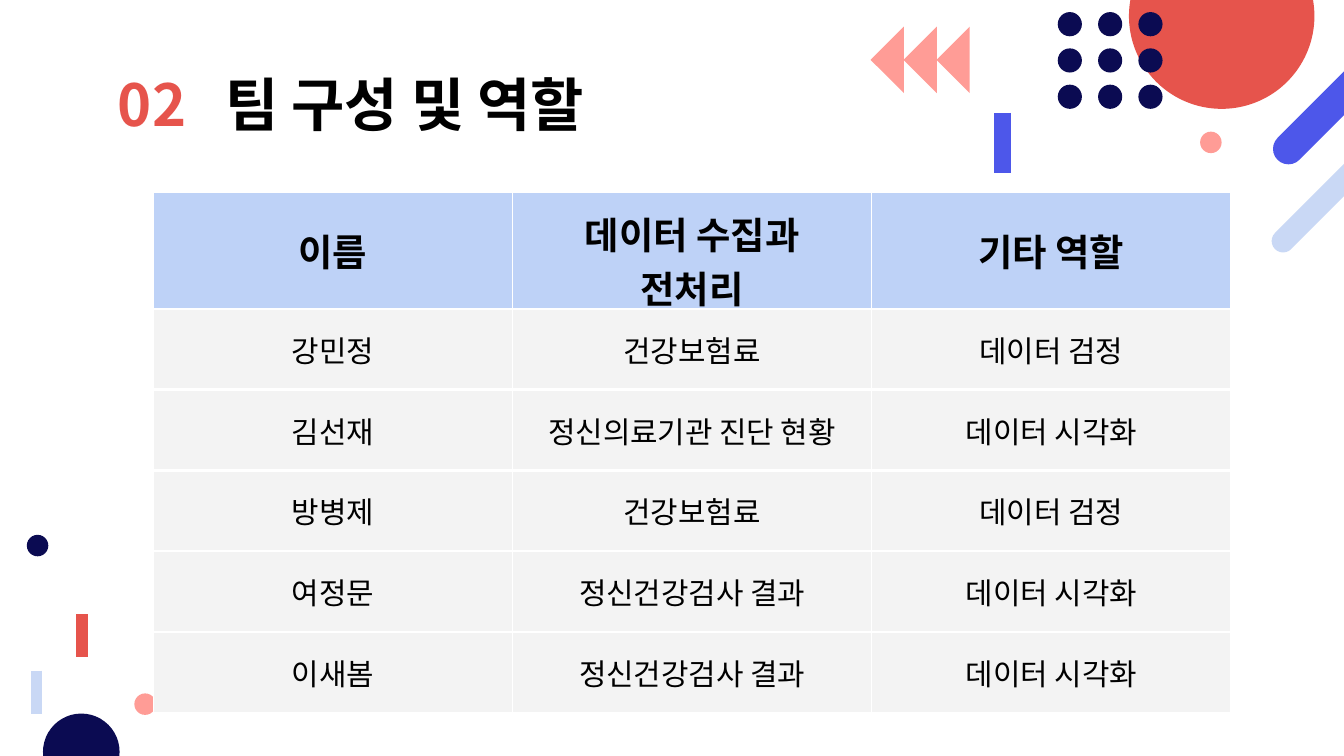
from typing import NamedTuple

from lxml import etree
from pptx import Presentation
from pptx.dml.color import RGBColor
from pptx.enum.shapes import MSO_CONNECTOR, MSO_SHAPE
from pptx.enum.text import MSO_ANCHOR, PP_ALIGN
from pptx.oxml.ns import qn
from pptx.util import Inches, Pt

CIRCLE, PILL, TRIANGLE = MSO_SHAPE.OVAL, MSO_SHAPE.ROUNDED_RECTANGLE, MSO_SHAPE.RIGHT_TRIANGLE
STRAIGHT = MSO_CONNECTOR.STRAIGHT
CENTER, MIDDLE, TOP = PP_ALIGN.CENTER, MSO_ANCHOR.MIDDLE, MSO_ANCHOR.TOP

NAVY = RGBColor(0x0B, 0x0B, 0x52)
RED = RGBColor(0xE6, 0x54, 0x4C)
BLUE = RGBColor(0x4D, 0x57, 0xEA)
PALE_BLUE = RGBColor(0xC9, 0xD8, 0xF5)
PINK = RGBColor(0xFF, 0x9C, 0x96)
HEADER_BLUE = RGBColor(0xBE, 0xD2, 0xF7)
ROW_GRAY = RGBColor(0xF3, 0xF3, 0xF3)
BLACK = RGBColor(0, 0, 0)
WHITE = RGBColor(0xFF, 0xFF, 0xFF)

FONT = "Noto Sans CJK KR"
COLUMNS, ROWS = 100, 56.25
GRID_STEP = Inches(10) / COLUMNS


class Ornament(NamedTuple):
    """A filled shape placed by grid column and row."""
    kind: int
    column: float
    row: float
    width: float
    height: float
    color: RGBColor
    rotation: float = 0


class Bar(NamedTuple):
    """A thick vertical line placed by grid column and row."""
    column: float
    top: float
    bottom: float
    weight: float
    color: RGBColor


ORNAMENTS = [
    Ornament(CIRCLE, 84, -5.7, 13.8, 13.8, RED),
    *(Ornament(CIRCLE, 78.7 + 3 * column, 0.9 + 2.7 * row, 1.8, 1.8, NAVY)
      for row in range(3) for column in range(3)),
    Ornament(PILL, 98.5, 0.8, 2.3, 13, BLUE, 45),
    Ornament(PILL, 97.3, 10.6, 1.7, 9.3, PALE_BLUE, 45),
    Ornament(CIRCLE, 89.3, 9.8, 1.6, 1.6, PINK),
    *(Ornament(TRIANGLE, 70.4 - 2.45 * step, 2.7, 3.5, 3.5, PINK, 45) for step in range(3)),
    Ornament(CIRCLE, 3.2, 53.1, 5.7, 5.7, NAVY),
    Ornament(CIRCLE, 2, 39.8, 1.6, 1.6, NAVY),
    Ornament(CIRCLE, 10, 51.6, 1.6, 1.6, PINK),
]
BARS = [
    Bar(74.6, 8.4, 12.9, 9, BLUE),
    Bar(2.7, 49.9, 53.1, 6, PALE_BLUE),
    Bar(6.1, 45.7, 48.9, 6, RED),
]
TEAM = [
    ("이름", "데이터 수집과 전처리", "기타 역할"),
    ("강민정", "건강보험료", "데이터 검정"),
    ("김선재", "정신의료기관 진단 현황", "데이터 시각화"),
    ("방병제", "건강보험료", "데이터 검정"),
    ("여정문", "정신건강검사 결과", "데이터 시각화"),
    ("이새봄", "정신건강검사 결과", "데이터 시각화"),
]


def grid(steps: float) -> int:
    """Convert grid steps to a slide length."""
    return round(steps * GRID_STEP)


def style_paragraph(paragraph, size: float, bold: bool) -> None:
    """Set the font of a paragraph for Latin and Korean letters."""
    font = paragraph.font
    font.size, font.bold, font.name = Pt(size), bold, FONT
    font.color.rgb = BLACK
    defaults = paragraph._p.pPr.find(qn("a:defRPr"))
    etree.SubElement(defaults, qn("a:ea"), typeface=FONT)


def draw_ornament(slide, ornament: Ornament) -> None:
    """Draw one filled decorative shape."""
    shape = slide.shapes.add_shape(
        ornament.kind, grid(ornament.column), grid(ornament.row),
        grid(ornament.width), grid(ornament.height))
    shape.shadow.inherit = False
    shape.fill.solid()
    shape.fill.fore_color.rgb = ornament.color
    shape.line.fill.background()
    shape.rotation = ornament.rotation
    if ornament.kind == PILL:
        shape.adjustments[0] = 0.5


def draw_bar(slide, bar: Bar) -> None:
    """Draw one thick vertical line."""
    connector = slide.shapes.add_connector(
        STRAIGHT, grid(bar.column), grid(bar.top), grid(bar.column), grid(bar.bottom))
    connector.line.color.rgb = bar.color
    connector.line.width = Pt(bar.weight)
    etree.SubElement(connector._element.spPr, qn("a:effectLst"))


def draw_title(slide) -> None:
    """Draw the section number and title, parted by a tab stop."""
    box = slide.shapes.add_textbox(grid(7.8), grid(4.7), grid(84.4), grid(5.1))
    frame = box.text_frame
    frame.word_wrap = True
    frame.vertical_anchor = TOP
    frame.margin_left = frame.margin_right = frame.margin_top = frame.margin_bottom = grid(1)
    paragraph = frame.paragraphs[0]
    paragraph.line_spacing = 0.9
    tabs = etree.SubElement(paragraph._p.get_or_add_pPr(), qn("a:tabLst"))
    etree.SubElement(tabs, qn("a:tab"), pos=str(grid(8)), algn="l")
    style_paragraph(paragraph, 31, True)
    number = paragraph.add_run()
    number.text = "02"
    number.font.color.rgb = RED
    paragraph.add_run().text = "\t팀 구성 및 역할"


def draw_border(cell, side: str, weight: float) -> None:
    """Add a white border to one side of a cell."""
    border = etree.SubElement(
        cell._tc.get_or_add_tcPr(), qn(f"a:ln{side}"), w=str(Pt(weight)))
    fill = etree.SubElement(border, qn("a:solidFill"))
    etree.SubElement(fill, qn("a:srgbClr"), val=str(WHITE))


def fill_cell(cell, text: str, is_header: bool) -> None:
    """Write and style one table cell."""
    weights = {"L": 0.75, "R": 0.75, "T": 0.75 if is_header else 1.5, "B": 1.5}
    for side, weight in weights.items():
        draw_border(cell, side, weight)
    cell.fill.solid()
    cell.fill.fore_color.rgb = HEADER_BLUE if is_header else ROW_GRAY
    cell.vertical_anchor = MIDDLE
    cell.margin_left = cell.margin_right = grid(2)
    cell.margin_top = cell.margin_bottom = grid(1)
    cell.text = text
    paragraph = cell.text_frame.paragraphs[0]
    paragraph.alignment = CENTER
    style_paragraph(paragraph, 20 if is_header else 16, is_header)


def draw_team_table(slide) -> None:
    """Draw the table of team members and roles."""
    table = slide.shapes.add_table(
        len(TEAM), len(TEAM[0]), grid(11.4), grid(14.3), grid(80.2), grid(36.1)).table
    table.first_row = table.horz_banding = False
    for row_index, texts in enumerate(TEAM):
        for column_index, text in enumerate(texts):
            fill_cell(table.cell(row_index, column_index), text, row_index == 0)


def main() -> None:
    """Build and save the team roles slide."""
    presentation = Presentation()
    presentation.slide_width, presentation.slide_height = grid(COLUMNS), grid(ROWS)
    slide = presentation.slides.add_slide(presentation.slide_layouts[6])
    for ornament in ORNAMENTS:
        draw_ornament(slide, ornament)
    for bar in BARS:
        draw_bar(slide, bar)
    draw_title(slide)
    draw_team_table(slide)
    presentation.save("out.pptx")


if __name__ == "__main__":
    main()
